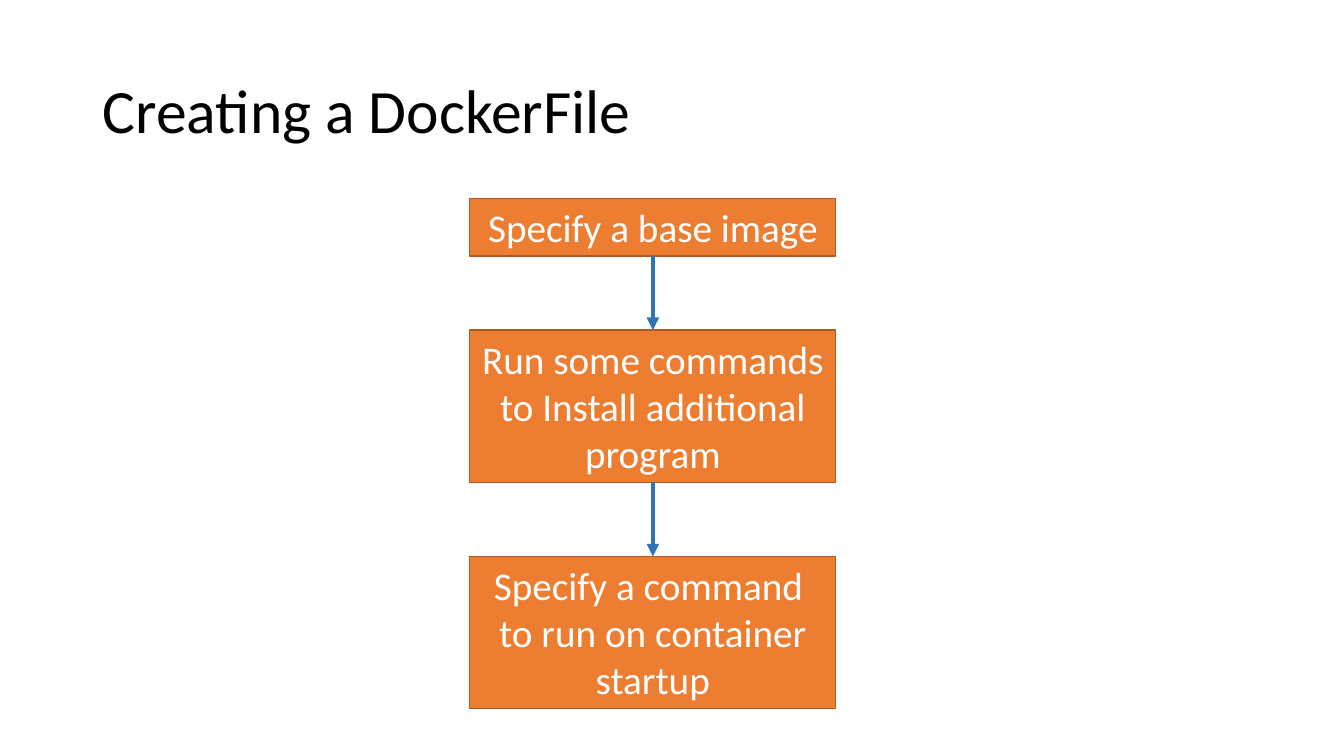
"""Build a slide with the three steps of creating a DockerFile."""
import pptx
import pptx.dml.color
import pptx.enum.shapes
import pptx.enum.text
import pptx.oxml
import pptx.oxml.ns
import pptx.util

Inches = pptx.util.Inches
BOX_LEFT, BOX_WIDTH, FIRST_TOP, GAP = 4.66, 3.63, 1.97, 0.735
LINE_HEIGHT, BOX_PADDING = 0.47, 0.1
BOTTOM_SITE, TOP_SITE = 2, 0
STEPS = [
    ["Specify a base image"],
    ["Run some commands", "to Install additional", "program"],
    ["Specify a command ", "to run on container", "startup"],
]


def color(hex_string):
    return pptx.dml.color.RGBColor.from_string(hex_string)


def write(shape, lines, size, hex_string, alignment):
    text_frame = shape.text_frame
    text_frame.word_wrap = True
    text_frame.text = "\n".join(lines)
    for paragraph in text_frame.paragraphs:
        paragraph.alignment = alignment
        for run in paragraph.runs:
            run.font.name = "Calibri"
            run.font.size = pptx.util.Pt(size)
            run.font.color.rgb = color(hex_string)


presentation = pptx.Presentation()
presentation.slide_width = Inches(13.33)
presentation.slide_height = Inches(7.5)
slide = presentation.slides.add_slide(presentation.slide_layouts[6])

title = slide.shapes.add_textbox(Inches(0.92), Inches(0.4), Inches(11.5), Inches(1.45))
write(title, ["Creating a DockerFile"], 44, "000000", pptx.enum.text.PP_ALIGN.LEFT)
title.text_frame.vertical_anchor = pptx.enum.text.MSO_ANCHOR.MIDDLE
title.text_frame.paragraphs[0].line_spacing = 0.9

boxes = []
top = FIRST_TOP
for lines in STEPS:
    height = len(lines) * LINE_HEIGHT + BOX_PADDING
    box = slide.shapes.add_shape(
        pptx.enum.shapes.MSO_SHAPE.RECTANGLE,
        Inches(BOX_LEFT), Inches(top), Inches(BOX_WIDTH), Inches(height),
    )
    box.shadow.inherit = False
    box.fill.solid()
    box.fill.fore_color.rgb = color("ED7D31")
    box.line.color.rgb = color("AF5C24")
    box.line.width = pptx.util.Pt(1)
    write(box, lines, 28, "FFFFFF", pptx.enum.text.PP_ALIGN.CENTER)
    box.text_frame.vertical_anchor = pptx.enum.text.MSO_ANCHOR.TOP
    box.text_frame.margin_left = box.text_frame.margin_right = Inches(0.05)
    boxes.append(box)
    top += height + GAP

for upper_box, lower_box in zip(boxes, boxes[1:]):
    arrow = slide.shapes.add_connector(pptx.enum.shapes.MSO_CONNECTOR.STRAIGHT, 0, 0, 0, 0)
    arrow.begin_connect(upper_box, BOTTOM_SITE)
    arrow.end_connect(lower_box, TOP_SITE)
    arrow.line.color.rgb = color("2E75B6")
    arrow.line.width = pptx.util.Pt(3)
    arrowhead = pptx.oxml.parse_xml(f'<a:tailEnd {pptx.oxml.ns.nsdecls("a")} type="triangle"/>')
    arrow.line._get_or_add_ln().append(arrowhead)
    no_effects = pptx.oxml.parse_xml(f'<a:effectLst {pptx.oxml.ns.nsdecls("a")}/>')
    arrow._element.spPr.append(no_effects)

presentation.save("out.pptx")
